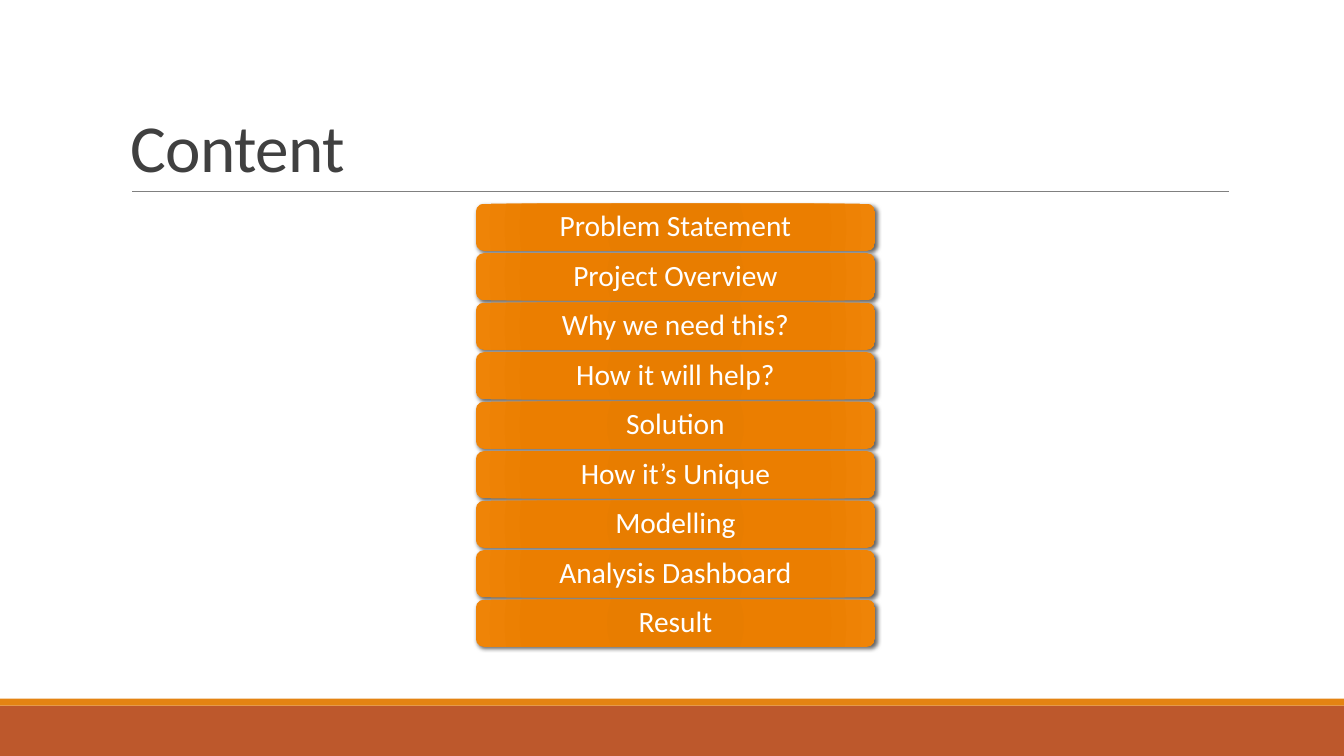
from lxml import etree
from pptx import Presentation
from pptx.dml.color import RGBColor
from pptx.enum.shapes import MSO_CONNECTOR, MSO_SHAPE
from pptx.enum.text import MSO_ANCHOR, PP_ALIGN
from pptx.oxml import parse_xml
from pptx.oxml.ns import nsdecls, qn
from pptx.util import Pt

SLIDE_W, SLIDE_H = 960, 540
FONT = "Calibri"
RUST = RGBColor(0xBD, 0x58, 0x2C)
ORANGE = RGBColor(0xE4, 0x83, 0x12)
RULE_GREY = RGBColor(0x80, 0x80, 0x80)
TITLE_GREY = RGBColor(0x40, 0x40, 0x40)
WHITE = RGBColor(0xFF, 0xFF, 0xFF)
BLACK = RGBColor(0, 0, 0)
TOPIC_GLOW = [
    (0, RGBColor(0xE5, 0x7B, 0x00)),
    (34, RGBColor(0xE8, 0x7D, 0x00)),
    (70, RGBColor(0xEB, 0x7E, 0x00)),
    (100, RGBColor(0xEF, 0x84, 0x07)),
]
TOPICS = [
    "Problem Statement", "Project Overview", "Why we need this?",
    "How it will help?", "Solution", "How it’s Unique",
    "Modelling", "Analysis Dashboard", "Result",
]
TOPIC_GAP = 1.7


def add_band(slide, color, left, top, width, height):
    band = slide.shapes.add_shape(
        MSO_SHAPE.RECTANGLE, Pt(left), Pt(top), Pt(width), Pt(height))
    band.shadow.inherit = False
    band.fill.solid()
    band.fill.fore_color.rgb = color
    band.line.fill.background()


def add_footer(slide, left, top, width, height):
    """Thin orange stripe above a rust band."""
    stripe_height = 5
    add_band(slide, RUST, left, top + stripe_height, width, height - stripe_height)
    add_band(slide, ORANGE, left, top, width, stripe_height)


def add_title(slide, text, left, top, width, height):
    """Title standing on a thin rule at the bottom of its box."""
    rule_y = Pt(top + height)
    rule = slide.shapes.add_connector(
        MSO_CONNECTOR.STRAIGHT, Pt(left + 8), rule_y, Pt(left + width - 0.5), rule_y)
    rule.line.color.rgb = RULE_GREY
    rule.line.width = Pt(0.5)
    etree.SubElement(rule._element.spPr, qn("a:effectLst"))

    title = slide.shapes.add_textbox(Pt(left), Pt(top), Pt(width), Pt(height))
    frame = title.text_frame
    frame.word_wrap = True
    frame.vertical_anchor = MSO_ANCHOR.BOTTOM
    heading = frame.paragraphs[0]
    heading.line_spacing = 0.85
    heading.font.name = FONT
    heading.font.size = Pt(48)
    heading.font.color.rgb = TITLE_GREY
    run = heading.add_run()
    run.text = text
    run._r.get_or_add_rPr().set("spc", "-50")


def add_glow_and_shadow(topic):
    """Radial gradient fill and a soft shadow to the lower right."""
    topic.line.fill.background()
    topic.shadow.inherit = False
    properties = topic._element.spPr
    stops = "".join(
        f'<a:gs pos="{percent * 1000}"><a:srgbClr val="{color}"/></a:gs>'
        for percent, color in TOPIC_GLOW)
    properties.find(qn("a:ln")).addprevious(parse_xml(
        f'<a:gradFill {nsdecls("a")} rotWithShape="1"><a:gsLst>{stops}</a:gsLst>'
        '<a:path path="circle"><a:fillToRect l="100000" t="100000" r="100000"'
        ' b="100000"/></a:path></a:gradFill>'))
    properties.find(qn("a:effectLst")).append(parse_xml(
        f'<a:outerShdw {nsdecls("a")} blurRad="{Pt(3)}" dist="{Pt(2)}"'
        f' dir="{45 * 60000}" rotWithShape="0"><a:srgbClr val="{BLACK}">'
        '<a:alpha val="60000"/></a:srgbClr></a:outerShdw>'))


def add_topic(slide, text, left, top, width, height):
    topic = slide.shapes.add_shape(
        MSO_SHAPE.ROUNDED_RECTANGLE, Pt(left), Pt(top), Pt(width), Pt(height))
    add_glow_and_shadow(topic)
    frame = topic.text_frame
    frame.word_wrap = True
    frame.vertical_anchor = MSO_ANCHOR.MIDDLE
    frame.margin_top = frame.margin_bottom = Pt(3)
    label = frame.paragraphs[0]
    label.text = text
    label.alignment = PP_ALIGN.CENTER
    label.line_spacing = 0.9
    label.font.name = FONT
    label.font.size = Pt(21)
    label.font.color.rgb = WHITE


def add_topic_list(slide, left, top, width, height):
    pitch = (height + TOPIC_GAP) / len(TOPICS)
    for row, text in enumerate(TOPICS):
        add_topic(slide, text, left, top + row * pitch, width, pitch - TOPIC_GAP)


def main():
    deck = Presentation()
    deck.slide_width, deck.slide_height = Pt(SLIDE_W), Pt(SLIDE_H)
    slide = deck.slides.add_slide(deck.slide_layouts[6])
    add_footer(slide, 0, 499, SLIDE_W, SLIDE_H - 499)
    add_title(slide, "Content", 86.4, 22.5, 792, 114)
    add_topic_list(slide, 340, 145.5, 285, 316.5)
    deck.save("out.pptx")


if __name__ == "__main__":
    main()
